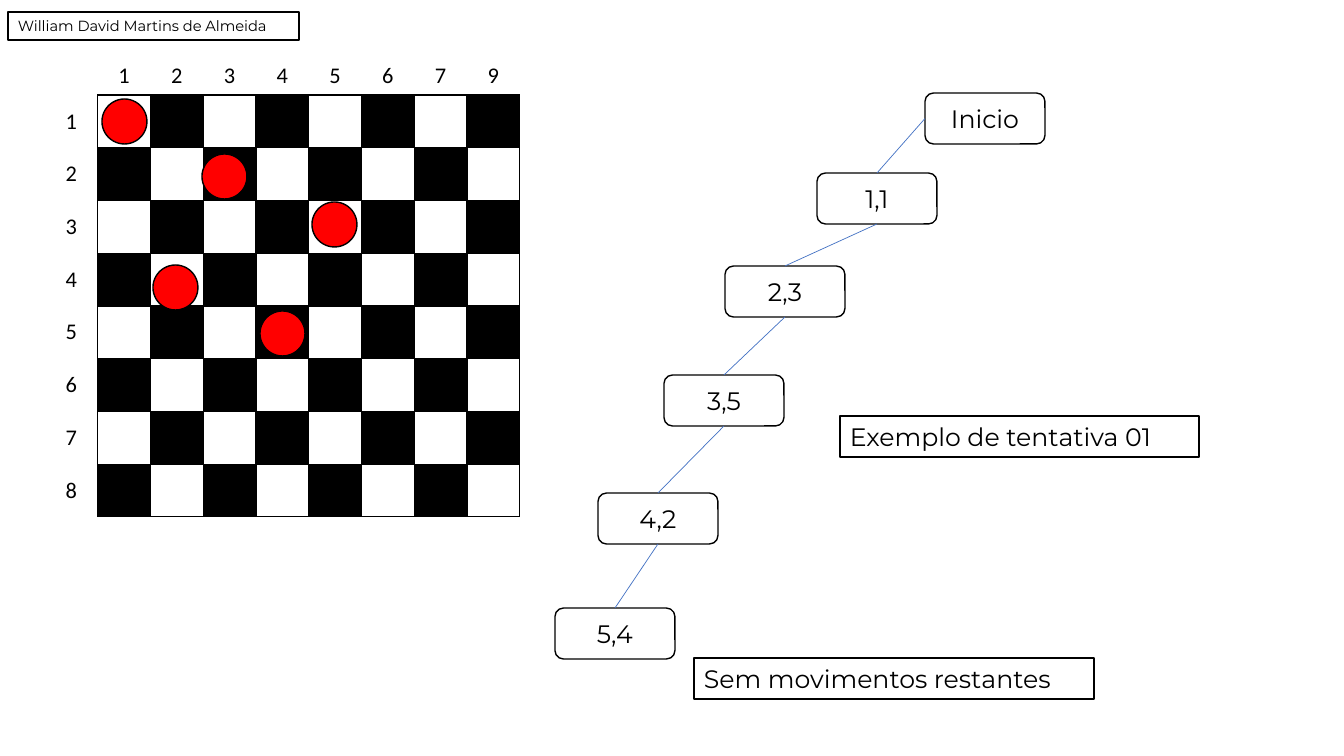
from dataclasses import dataclass

from lxml import etree
from pptx import Presentation
from pptx.dml.color import RGBColor
from pptx.enum.shapes import MSO_CONNECTOR, MSO_SHAPE
from pptx.enum.text import MSO_ANCHOR, PP_ALIGN
from pptx.oxml.ns import qn
from pptx.util import Pt

PIXEL = 914400 / 100.8
STRAIGHT = MSO_CONNECTOR.STRAIGHT
OVAL, ROUNDED, RECTANGLE = MSO_SHAPE.OVAL, MSO_SHAPE.ROUNDED_RECTANGLE, MSO_SHAPE.RECTANGLE
MIDDLE, TOP = MSO_ANCHOR.MIDDLE, MSO_ANCHOR.TOP
CENTER, LEFT = PP_ALIGN.CENTER, PP_ALIGN.LEFT
TOP_SITE, LEFT_SITE, BOTTOM_SITE = 0, 1, 2
BLANK_LAYOUT = 6


@dataclass(frozen=True)
class Theme:
    ink: str = "000000"
    paper: str = "FFFFFF"
    queen: str = "FF0000"
    branch: str = "4472C4"
    board_font: str = "Calibri"
    text_font: str = "Montserrat"
    board_size: float = 16
    text_size: float = 18
    author_size: float = 10.5
    outline: float = 1
    branch_width: float = 0.5


def px(value):
    return round(value * PIXEL)


def color(code):
    return RGBColor.from_string(code)


class SlideBuilder:
    def __init__(self, slide, theme):
        self.shapes = slide.shapes
        self.theme = theme

    def add_text(self, frame, text, font, size, align, anchor):
        frame.word_wrap = True
        frame.vertical_anchor = anchor
        paragraph = frame.paragraphs[0]
        paragraph.alignment = align
        run = paragraph.add_run()
        run.text = text
        run.font.name = font
        run.font.size = Pt(size)
        run.font.color.rgb = color(self.theme.ink)

    def outlined(self, preset, left, top, width, height, fill):
        shape = self.shapes.add_shape(preset, px(left), px(top), px(width), px(height))
        shape.shadow.inherit = False
        shape.fill.solid()
        shape.fill.fore_color.rgb = color(fill)
        shape.line.color.rgb = color(self.theme.ink)
        shape.line.width = Pt(self.theme.outline)
        return shape

    def queen(self, left, top):
        self.outlined(OVAL, left, top, 45, 45, self.theme.queen)

    def node(self, text, left, top):
        node = self.outlined(ROUNDED, left, top, 120, 51, self.theme.paper)
        self.add_text(node.text_frame, text, self.theme.text_font, self.theme.text_size,
                      CENTER, MIDDLE)
        return node

    def note(self, text, left, top, width, height, size):
        note = self.outlined(RECTANGLE, left, top, width, height, self.theme.paper)
        self.add_text(note.text_frame, text, self.theme.text_font, size, LEFT, TOP)

    def branch(self, parent, site, child):
        branch = self.shapes.add_connector(STRAIGHT, 0, 0, 0, 0)
        branch.begin_connect(parent, site)
        branch.end_connect(child, TOP_SITE)
        branch.line.color.rgb = color(self.theme.branch)
        branch.line.width = Pt(self.theme.branch_width)
        etree.SubElement(branch.element.spPr, qn("a:effectLst"))

    def border(self, cell, sides):
        properties = cell._tc.get_or_add_tcPr()
        for position, side in enumerate(sides):
            line = etree.Element(qn(f"a:ln{side}"), w=str(Pt(self.theme.outline)))
            fill = etree.SubElement(line, qn("a:solidFill"))
            etree.SubElement(fill, qn("a:srgbClr"), val=self.theme.ink)
            properties.insert(position, line)

    def board(self, left, top, width, height, header, columns, rows):
        frame = self.shapes.add_table(len(rows) + 1, len(columns) + 1,
                                      px(left), px(top), px(width), px(height))
        board = frame.table
        board.first_row = board.horz_banding = False
        for index, row in enumerate(board.rows):
            row.height = px((height - header) / len(rows)) if index else px(header)
        for r in range(len(rows) + 1):
            for c in range(len(columns) + 1):
                cell = board.cell(r, c)
                cell.margin_top = cell.margin_bottom = 0
                on_board = r > 0 and c > 0
                dark = on_board and (r + c) % 2
                cell.fill.solid()
                cell.fill.fore_color.rgb = color(self.theme.ink if dark else self.theme.paper)
                if on_board:
                    self.border(cell, "LRTB")
                elif r or c:
                    self.border(cell, "R" if r else "B")
                    label = rows[r - 1] if r else columns[c - 1]
                    self.add_text(cell.text_frame, label, self.theme.board_font,
                                  self.theme.board_size, CENTER, MIDDLE)
                    cell.vertical_anchor = MIDDLE


QUEENS = [(102, 99), (202, 154), (312, 202), (153, 265), (260, 311)]
MOVES = [("Inicio", 925, 93), ("1,1", 817, 173), ("2,3", 725, 266),
         ("3,5", 664, 375), ("4,2", 598, 493), ("5,4", 555, 608)]

theme = Theme()
presentation = Presentation()
presentation.slide_width, presentation.slide_height = px(1344), px(756)
slide = presentation.slides.add_slide(presentation.slide_layouts[BLANK_LAYOUT])
builder = SlideBuilder(slide, theme)

builder.board(45, 56, 475, 461, 39, columns="12345679", rows="12345678")
for spot in QUEENS:
    builder.queen(*spot)

nodes = [builder.node(*move) for move in MOVES]
for step, (parent, child) in enumerate(zip(nodes, nodes[1:])):
    builder.branch(parent, BOTTOM_SITE if step else LEFT_SITE, child)

builder.note("Sem movimentos restantes", 694, 658, 400, 41, theme.text_size)
builder.note("Exemplo de tentativa 01", 840, 416, 359, 41, theme.text_size)
builder.note("William David Martins de Almeida", 8, 12, 291, 28, theme.author_size)

presentation.save("out.pptx")
